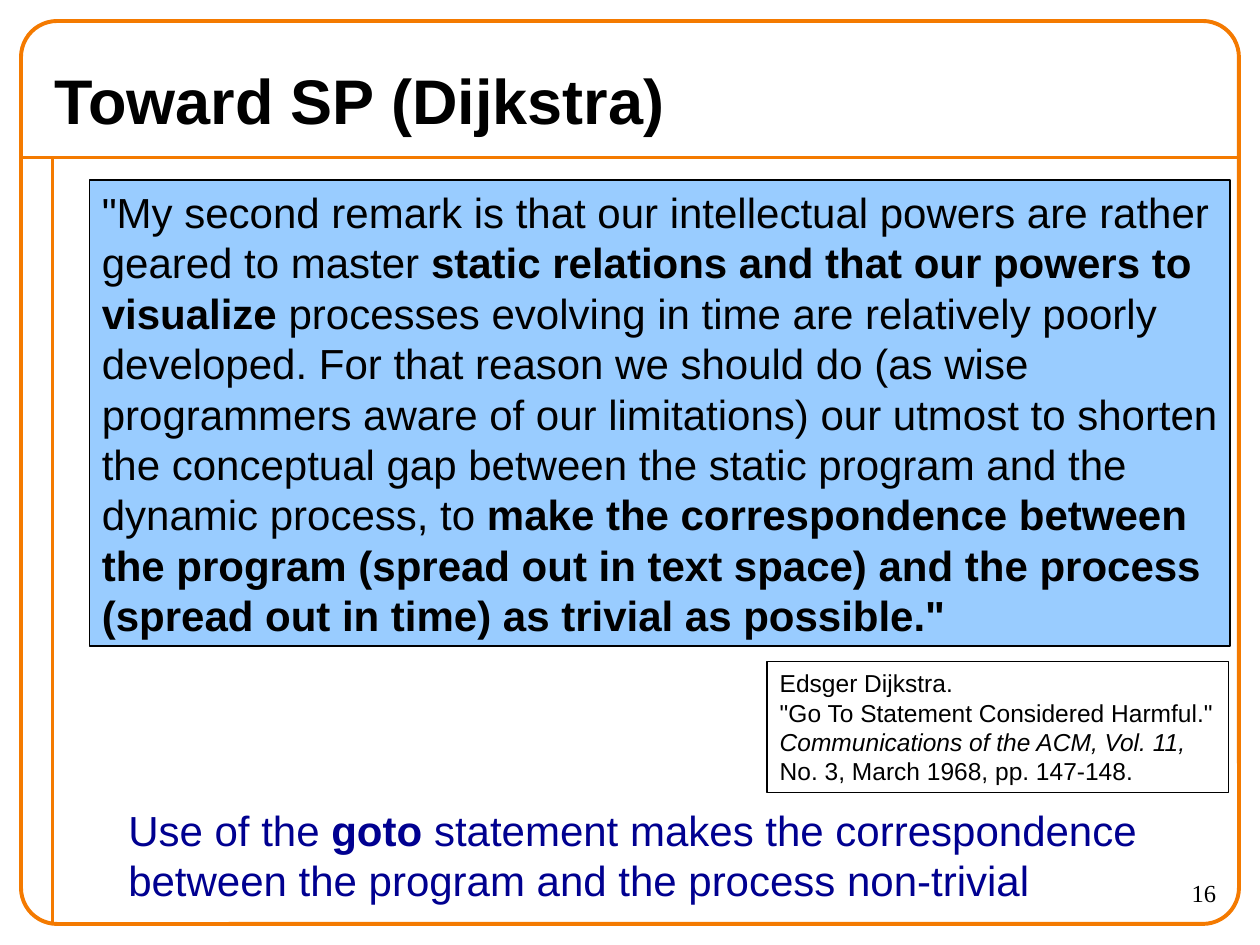
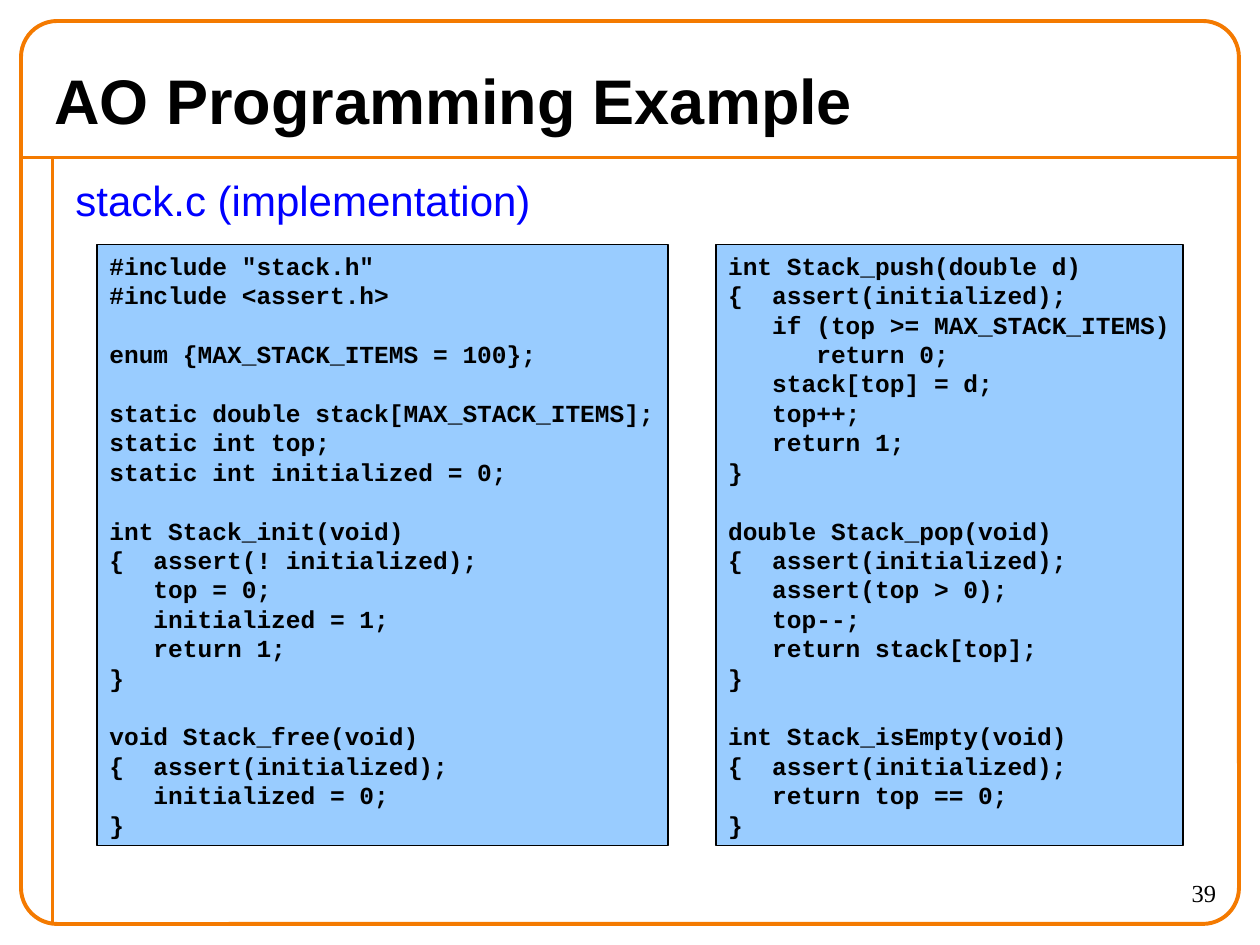
from lxml.etree import SubElement as Sub
from pptx import Presentation
from pptx.dml.color import RGBColor as Rgb
from pptx.enum.shapes import MSO_CONNECTOR as Link, MSO_SHAPE as Form
from pptx.enum.text import MSO_ANCHOR as Anchor, PP_ALIGN as Align
from pptx.oxml.ns import qn
from pptx.util import Inches, Pt

ORANGE = Rgb(0xF4, 0x7A, 0x00)
SKY = Rgb(0x99, 0xCC, 0xFF)
WHITE = Rgb(0xFF, 0xFF, 0xFF)
BLACK = Rgb(0x00, 0x00, 0x00)
NAVY = Rgb(0x00, 0x00, 0x90)
BLUE = Rgb(0x00, 0x00, 0xFF)
SANS, MONO, SERIF = "Arial", "Courier New", "Times New Roman"
LEAD = 1.2

deck = Presentation()
deck.slide_width = Inches(10)
deck.slide_height = Inches(7.5)
COL = deck.slide_width / 120
ROW = deck.slide_height / 90


def place(x, y, w, h):
    return int(x * COL), int(y * ROW), int(w * COL), int(h * ROW)


def write(slide, spot, lines, size, face=SANS, color=BLACK, fill=None,
          align=Align.LEFT, anchor=Anchor.TOP, wrap=False):
    if fill is None:
        box = slide.shapes.add_textbox(*place(*spot))
    else:
        box = slide.shapes.add_shape(Form.RECTANGLE, *place(*spot))
        box.shadow.inherit = False
        box.fill.solid()
        box.fill.fore_color.rgb = fill
        box.line.color.rgb = BLACK
        box.line.width = Pt(1)
        anchor = Anchor.MIDDLE
    frame = box.text_frame
    frame.word_wrap = wrap
    frame.vertical_anchor = anchor
    gap, first = 0, True
    for line in lines:
        if not line:
            gap += size * LEAD
            continue
        para = frame.paragraphs[0] if first else frame.add_paragraph()
        para.alignment = align
        para.line_spacing = Pt(size * LEAD)
        if gap:
            para.space_before = Pt(gap)
        gap, first = 0, False
        for text, style in line:
            run = para.add_run()
            run.text = text
            run.font.name = face
            run.font.size = Pt(size)
            run.font.color.rgb = color
            run.font.bold = style == "b"
            run.font.italic = style == "i"


slides = []
for title, page in (("Toward SP (Dijkstra)", "16"),
                    ("AO Programming Example", "39")):
    slide = deck.slides.add_slide(deck.slide_layouts[6])
    slides.append(slide)
    for ends in ((2, 15, 118, 15), (5, 15, 5, 88)):
        rule = slide.shapes.add_connector(Link.STRAIGHT, *place(*ends))
        rule.line.color.rgb = ORANGE
        rule.line.width = Pt(2.25)
        Sub(rule._element.spPr, qn("a:effectLst"))
    edge = slide.shapes.add_shape(Form.ROUNDED_RECTANGLE, *place(2, 2, 116, 86))
    edge.adjustments[0] = 0.04
    edge.shadow.inherit = False
    edge.fill.background()
    edge.line.color.rgb = ORANGE
    edge.line.width = Pt(2.25)
    write(slide, (4, 5, 112, 9), [[(title, "b")]], 36,
          anchor=Anchor.MIDDLE, wrap=True)
    write(slide, (105, 83, 12, 5), [[(page, "")]], 14, SERIF,
          align=Align.RIGHT, wrap=True)

quote, stack = slides

write(quote, (8.52, 17.16, 108.6, 44.4), [
    [('"My second remark is that our intellectual powers are rather', "")],
    [("geared to master ", ""), ("static relations and that our powers to", "b")],
    [("visualize ", "b"), ("processes evolving in time are relatively poorly", "")],
    [("developed. For that reason we should do (as wise", "")],
    [("programmers aware of our limitations) our utmost to shorten", "")],
    [("the conceptual gap between the static program and the", "")],
    [("dynamic process, to ", ""), ("make the correspondence between", "b")],
    [("the program (spread out in text space) and the process", "b")],
    [('(spread out in time) as trivial as possible."', "b")],
], 24, fill=SKY)

write(quote, (73.08, 63, 43.92, 12.48), [
    [("Edsger Dijkstra.", "")],
    [('"Go To Statement Considered Harmful."', "")],
    [("Communications of the ACM, Vol. 11,", "i")],
    [("No. 3, March 1968, pp. 147-148.", "")],
], 14, fill=WHITE)

write(quote, (11.04, 76, 98.4, 10.8), [
    [("Use of the ", ""), ("goto ", "b"),
     ("statement makes the correspondence", "")],
    [("between the program and the process non-trivial", "")],
], 24, color=NAVY)

write(stack, (6, 16, 111, 72), [[("stack.c (implementation)", "")]], 24,
      color=BLUE, wrap=True)

LEFT = """#include "stack.h"
#include <assert.h>

enum {MAX_STACK_ITEMS = 100};

static double stack[MAX_STACK_ITEMS];
static int top;
static int initialized = 0;

int Stack_init(void)
{  assert(! initialized);
   top = 0;
   initialized = 1;
   return 1;
}

void Stack_free(void)
{  assert(initialized);
   initialized = 0;
}"""

RIGHT = """int Stack_push(double d)
{  assert(initialized);
   if (top >= MAX_STACK_ITEMS)
      return 0;
   stack[top] = d;
   top++;
   return 1;
}

double Stack_pop(void)
{  assert(initialized);
   assert(top > 0);
   top--;
   return stack[top];
}

int Stack_isEmpty(void)
{  assert(initialized);
   return top == 0;
}"""

for x, wide, code in ((9.24, 54.36, LEFT), (68.16, 44.52, RIGHT)):
    lines = [[(line, "b")] if line else [] for line in code.split("\n")]
    write(stack, (x, 23.28, wide, 57.24), lines, 14, MONO, fill=SKY)

deck.save("out.pptx")
